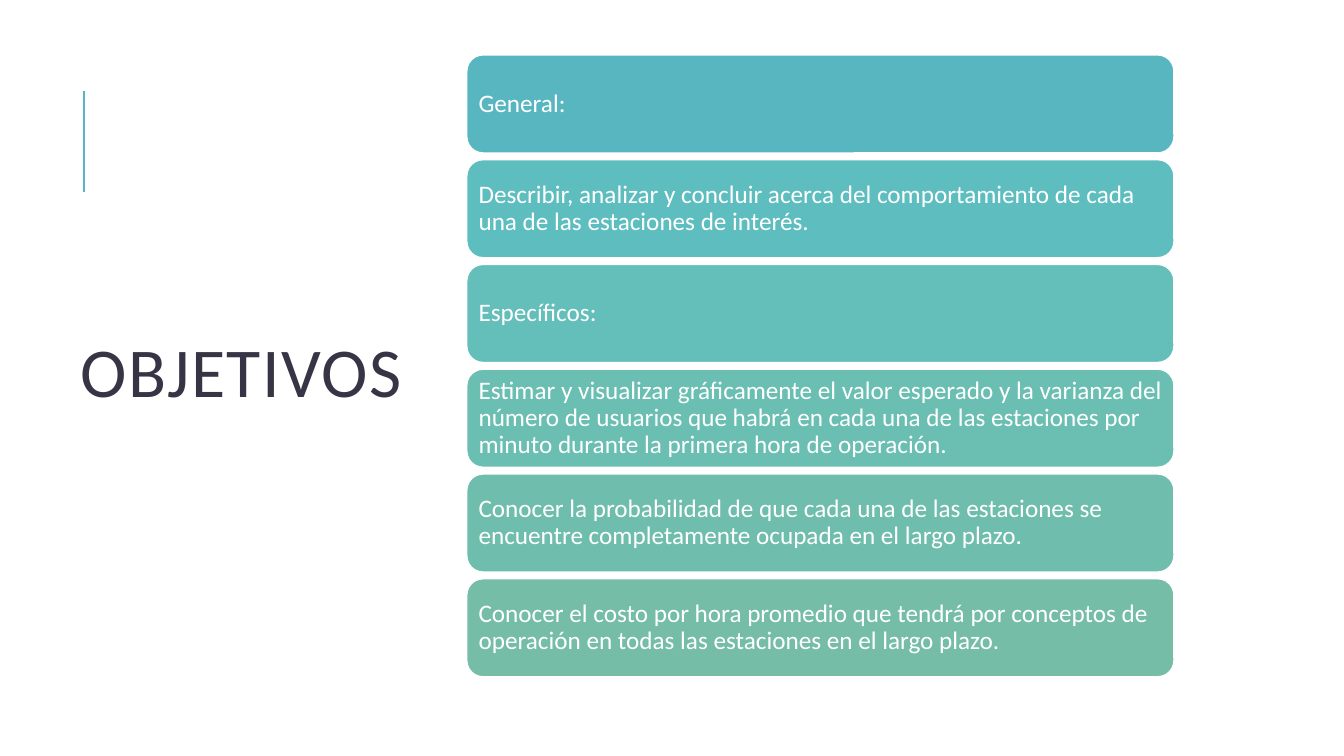
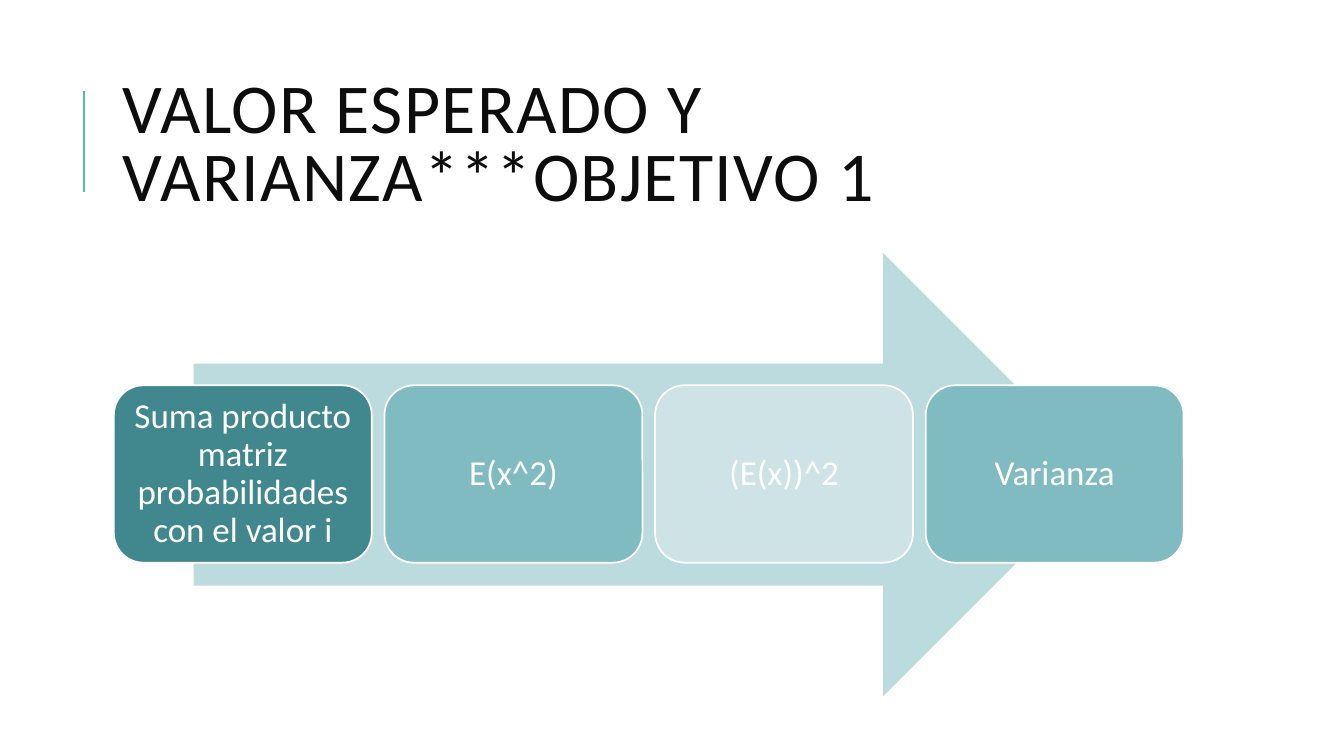
from lxml import etree
from pptx import Presentation
from pptx.dml.color import RGBColor
from pptx.enum.shapes import MSO_CONNECTOR, MSO_SHAPE
from pptx.enum.text import MSO_ANCHOR, PP_ALIGN
from pptx.oxml.ns import qn
from pptx.util import Cm, Pt

ROUNDED = MSO_SHAPE.ROUNDED_RECTANGLE
RIGHT_ARROW = MSO_SHAPE.RIGHT_ARROW
STRAIGHT = MSO_CONNECTOR.STRAIGHT
MIDDLE = MSO_ANCHOR.MIDDLE
LEFT, CENTER = PP_ALIGN.LEFT, PP_ALIGN.CENTER

FONT = "Calibri"
WHITE = "FFFFFF"
ACCENT = "58B6C0"
ARROW_FILL = "BCDBDF"


def add_titled_page(title, bounds, color):
    """Add a blank page with the accent line and an upper-case title."""
    page = deck.slides.add_slide(deck.slide_layouts[6])
    accent = page.shapes.add_connector(STRAIGHT, Cm(2.12), Cm(4.83), Cm(2.12), Cm(2.29))
    accent.line.color.rgb = RGBColor.from_string(ACCENT)
    accent.line.width = Pt(1.5)
    etree.SubElement(accent._element.spPr, qn("a:effectLst"))

    box = page.shapes.add_textbox(*map(Cm, bounds))
    frame = box.text_frame
    frame.word_wrap = True
    frame.vertical_anchor = MIDDLE
    para = frame.paragraphs[0]
    para.line_spacing = 0.8
    span = para.add_run()
    span.text = title
    span.font.name = FONT
    span.font.size = Pt(50)
    span.font.color.rgb = RGBColor.from_string(color)
    span.font._element.set("spc", "100")
    return page


def add_card(page, bounds, fill, text, size, align, inset):
    card = page.shapes.add_shape(ROUNDED, *map(Cm, bounds))
    card.shadow.inherit = False
    card.fill.solid()
    card.fill.fore_color.rgb = RGBColor.from_string(fill)
    card.line.color.rgb = RGBColor.from_string(WHITE)
    card.line.width = Pt(1.25)
    frame = card.text_frame
    frame.word_wrap = True
    frame.vertical_anchor = MIDDLE
    frame.margin_left = frame.margin_right = Cm(inset)
    frame.margin_top = frame.margin_bottom = Cm(inset)
    para = frame.paragraphs[0]
    para.text = text
    para.alignment = align
    para.line_spacing = 0.9
    para.font.name = FONT
    para.font.size = Pt(size)
    para.font.color.rgb = RGBColor.from_string(WHITE)


deck = Presentation()
deck.slide_width = Cm(33.87)
deck.slide_height = Cm(19.05)

# Objectives: a column of cards
goals = [
    ("58B6C0", "General:"),
    ("5EBEBF", "Describir, analizar y concluir acerca del comportamiento de cada "
               "una de las estaciones de interés."),
    ("64BEB9", "Específicos:"),
    ("6ABEB2", "Estimar y visualizar gráficamente el valor esperado y la varianza "
               "del número de usuarios que habrá en cada una de las estaciones "
               "por minuto durante la primera hora de operación."),
    ("6FBDAC", "Conocer la probabilidad de que cada una de las estaciones se "
               "encuentre completamente ocupada en el largo plazo."),
    ("75BDA7", "Conocer el costo por hora promedio que tendrá por conceptos de "
               "operación en todas las estaciones en el largo plazo."),
]
page = add_titled_page("OBJETIVOS", (1.78, 1.78, 9.5, 15.47), "373545")
for row, (fill, text) in enumerate(goals):
    bounds = (11.76, 1.38 + row * 2.64, 17.83, 2.48)
    add_card(page, bounds, fill, text, 18, LEFT, 0.18)

# Variance: a row of steps over an arrow
steps = [
    ("41878E", "Suma producto matriz probabilidades con el valor i"),
    ("80BBC2", "E(x^2)"),
    ("CEE3E6", "(E(x))^2"),
    ("80BBC2", "Varianza"),
]
page = add_titled_page("VALOR ESPERADO Y VARIANZA***OBJETIVO 1",
                       (2.84, 1.63, 27, 4.17), "0D0D0D")
arrow = page.shapes.add_shape(RIGHT_ARROW, Cm(4.88), Cm(6.37), Cm(22.96), Cm(11.18))
arrow.shadow.inherit = False
arrow.fill.solid()
arrow.fill.fore_color.rgb = RGBColor.from_string(ARROW_FILL)
arrow.line.fill.background()
for column, (fill, text) in enumerate(steps):
    bounds = (2.87 + column * 6.82, 9.71, 6.5, 4.47)
    add_card(page, bounds, fill, text, 25, CENTER, 0.25)

deck.save("out.pptx")
